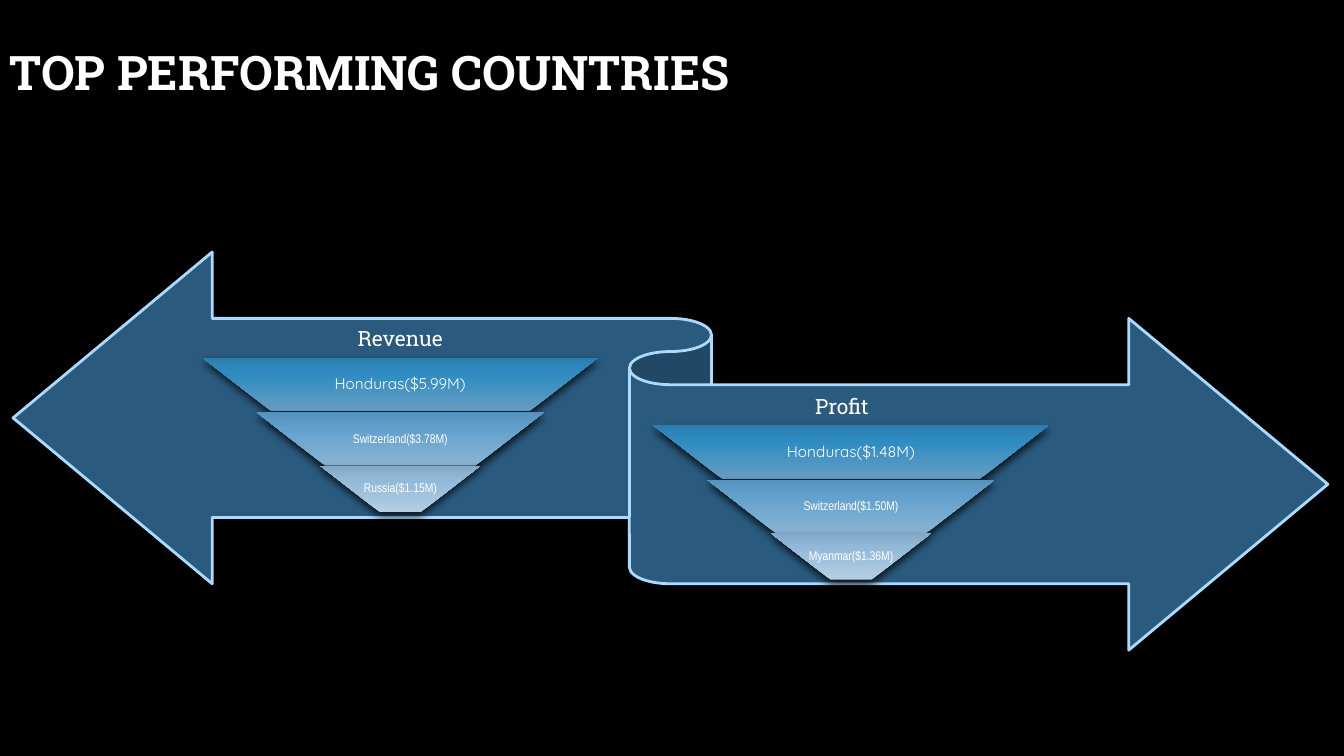
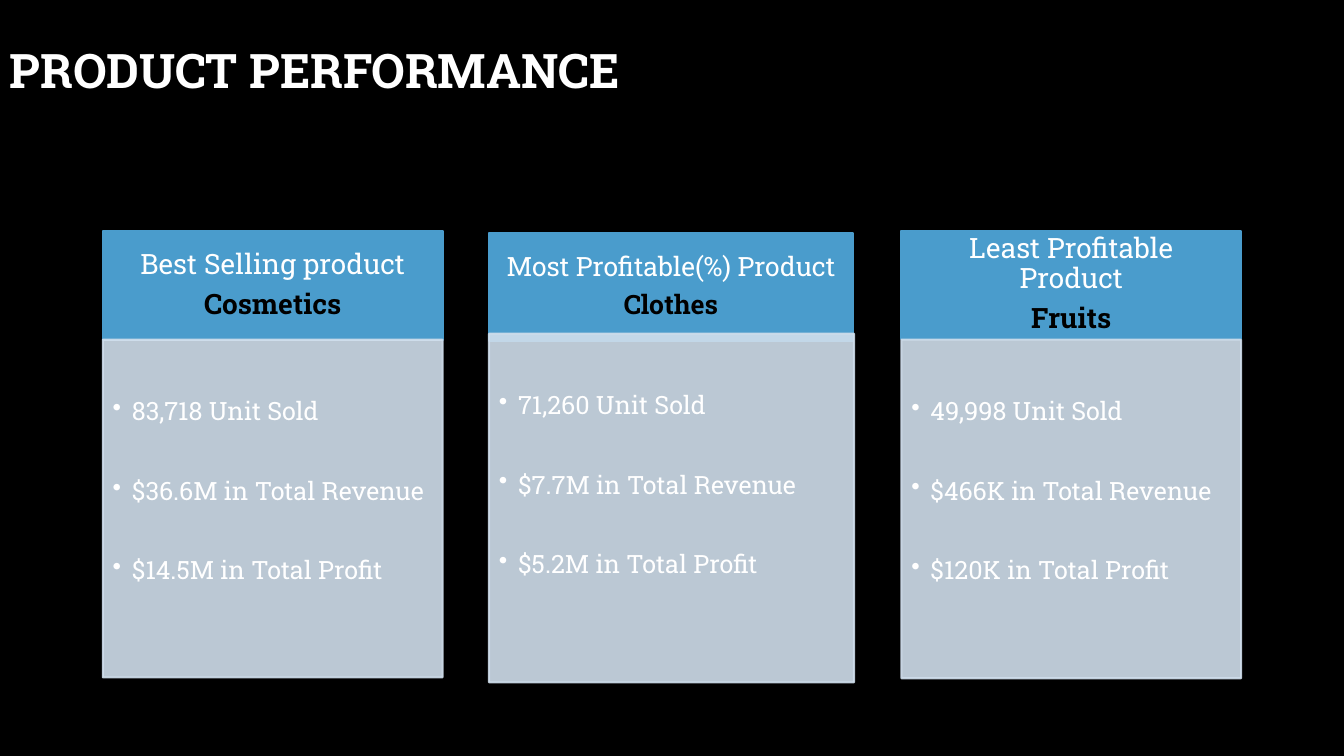
"""Build two slides: top performing countries and product performance."""
from lxml import etree
from pptx import Presentation
from pptx.dml.color import RGBColor
from pptx.enum.shapes import MSO_SHAPE
from pptx.enum.text import MSO_ANCHOR, PP_ALIGN
from pptx.oxml import parse_xml
from pptx.oxml.ns import nsdecls, qn
from pptx.util import Inches, Pt

BLACK = RGBColor(0x00, 0x00, 0x00)
WHITE = RGBColor(0xFF, 0xFF, 0xFF)
RIBBON = RGBColor(0x2A, 0x5B, 0x7F)
RIBBON_EDGE = RGBColor(0xAB, 0xDA, 0xFC)
HEADER = RGBColor(0x4A, 0x9C, 0xCC)
PANEL = RGBColor(0xD0, 0xDE, 0xEC)
SLAB = "Roboto Slab"
NARROW = "Arial Narrow"

SHADOW = (
    f'<a:effectLst {nsdecls("a")}><a:outerShdw blurRad="76200" dist="38100" dir="5400000" '
    'rotWithShape="0"><a:srgbClr val="000000"><a:alpha val="76000"/></a:srgbClr>'
    '</a:outerShdw></a:effectLst>'
)


def write(shape, lines, size, font=SLAB, colors=(WHITE,), bold=(False,), align=PP_ALIGN.CENTER,
          anchor=MSO_ANCHOR.MIDDLE, insets=(0, 0, 0, 0), spacing=0.9, after=0, indent=0):
    """Fill a shape with one paragraph per line; a positive indent adds bullets."""
    frame = shape.text_frame
    frame.word_wrap = True
    frame.vertical_anchor = anchor
    frame.margin_left, frame.margin_top, frame.margin_right, frame.margin_bottom = map(Inches, insets)
    for index, line in enumerate(lines):
        para = frame.paragraphs[0] if index == 0 else frame.add_paragraph()
        para.alignment = align
        para.line_spacing = spacing
        para.space_after = Pt(after)
        if indent:
            properties = para._p.get_or_add_pPr()
            properties.set("marL", str(Inches(indent)))
            properties.set("indent", str(-Inches(indent)))
            etree.SubElement(properties, qn("a:buChar")).set("char", "•")
        span = para.add_run()
        span.text = line
        span.font.name = font
        span.font.size = Pt(size)
        span.font.bold = bold[index % len(bold)]
        span.font.color.rgb = colors[index % len(colors)]


def add_filled(page, kind, place, fill, edge, weight):
    """Add a preset shape with a solid fill and line and no shadow."""
    shape = page.shapes.add_shape(kind, *map(Inches, place))
    shape.shadow.inherit = False
    shape.fill.solid()
    shape.fill.fore_color.rgb = fill
    shape.line.color.rgb = edge
    shape.line.width = Pt(weight)
    return shape


deck = Presentation()
deck.slide_width, deck.slide_height = Inches(13.33), Inches(7.5)
pages = []
for title, top in (("TOP PERFORMING COUNTRIES", 0.02), ("PRODUCT PERFORMANCE", 0)):
    page = deck.slides.add_slide(deck.slide_layouts[6])
    page.background.fill.solid()
    page.background.fill.fore_color.rgb = BLACK
    box = page.shapes.add_textbox(0, Inches(top), Inches(11.32), Inches(1.45))
    write(box, [title], 34, bold=(True,), align=PP_ALIGN.LEFT, insets=(0.1, 0.05, 0.1, 0.05))
    pages.append(page)
countries_page, products_page = pages

add_filled(countries_page, MSO_SHAPE.LEFT_RIGHT_RIBBON, (0.13, 2.5, 13.04, 3.95),
           RIBBON, RIBBON_EDGE, 2)

for heading, place in (("Revenue", (3.12, 3.19, 1.7, 0.36)), ("Profit", (7.63, 3.87, 1.44, 0.35))):
    box = countries_page.shapes.add_textbox(*map(Inches, place))
    write(box, [heading], 15, insets=(0, 0.06, 0, 0.06))

TIERS = [
    (0, 3.92, 0.53, 2.55, "Quicksand", 11, ("679DC2", "2F8CC2", "2B7FB0")),
    (0.54, 2.85, 0.53, 1.85, NARROW, 9, ("8AB4D3", "62A1CD", "5692BC")),
    (1.07, 1.59, 0.46, 1.59, NARROW, 9, ("B4CEE3", "93B9D9", "83A9C7")),
]
FUNNELS = [
    (3.97, 3.55, ("Honduras($5.99M)", "Switzerland($3.78M)", "Russia($1.15M)")),
    (8.44, 4.22, ("Honduras($1.48M)", "Switzerland($1.50M)", "Myanmar($1.36M)")),
]
for center, funnel_top, labels in FUNNELS:
    for label, (drop, width, height, label_width, font, size, shades) in zip(labels, TIERS):
        top = Inches(funnel_top + drop)
        tier = countries_page.shapes.add_shape(
            MSO_SHAPE.TRAPEZOID, Inches(center - width / 2), top, Inches(width), Inches(height))
        tier.rotation = 180
        tier.adjustments[0] = 1.285
        tier.line.fill.background()
        stops = "".join(f'<a:gs pos="{position}"><a:srgbClr val="{shade}"/></a:gs>'
                        for position, shade in zip((0, 69000, 100000), shades))
        gradient = parse_xml(f'<a:gradFill {nsdecls("a")} rotWithShape="1"><a:gsLst>{stops}'
                             '</a:gsLst><a:lin ang="5400000" scaled="0"/></a:gradFill>')
        tier._element.spPr.find(qn("a:prstGeom")).addnext(gradient)
        tier._element.spPr.append(parse_xml(SHADOW))
        box = countries_page.shapes.add_textbox(
            Inches(center - label_width / 2), top, Inches(label_width), Inches(height))
        write(box, [label], size, font=font, insets=(0.01, 0.01, 0.01, 0.01))

CARDS = [
    ((1.02, 2.29, 3.37, 1.08), (1.02, 3.37, 3.37, 3.35), 20, ("Best Selling product", "Cosmetics"),
     ("83,718 Unit Sold", "$36.6M in Total Revenue", "$14.5M in Total Profit")),
    ((4.85, 2.31, 3.61, 1.07), (4.85, 3.31, 3.62, 3.46), 19, ("Most Profitable(%) Product", "Clothes"),
     ("71,260 Unit Sold", "$7.7M in Total Revenue", "$5.2M in Total Profit")),
    ((8.94, 2.29, 3.37, 1.07), (8.94, 3.37, 3.37, 3.36), 20, ("Least Profitable Product", "Fruits"),
     ("49,998 Unit Sold", "$466K in Total Revenue", "$120K in Total Profit")),
]
for header_place, panel_place, size, heading, facts in CARDS:
    header = add_filled(products_page, MSO_SHAPE.RECTANGLE, header_place, HEADER, HEADER, 1.5)
    write(header, heading, size, colors=(WHITE, BLACK), bold=(False, True),
          insets=(0.15, 0.08, 0.15, 0.08) if size == 19 else (0.16, 0.09, 0.16, 0.09), after=7)
    panel = add_filled(products_page, MSO_SHAPE.RECTANGLE, panel_place, PANEL, PANEL, 1.5)
    for color in panel._element.spPr.iter(qn("a:srgbClr")):
        etree.SubElement(color, qn("a:alpha")).set("val", "90000")
    write(panel, facts, 18, align=PP_ALIGN.LEFT, anchor=MSO_ANCHOR.TOP,
          insets=(0.1, 0.1, 0.14, 0.16), spacing=2.5, after=3, indent=0.19)

deck.save("out.pptx")
